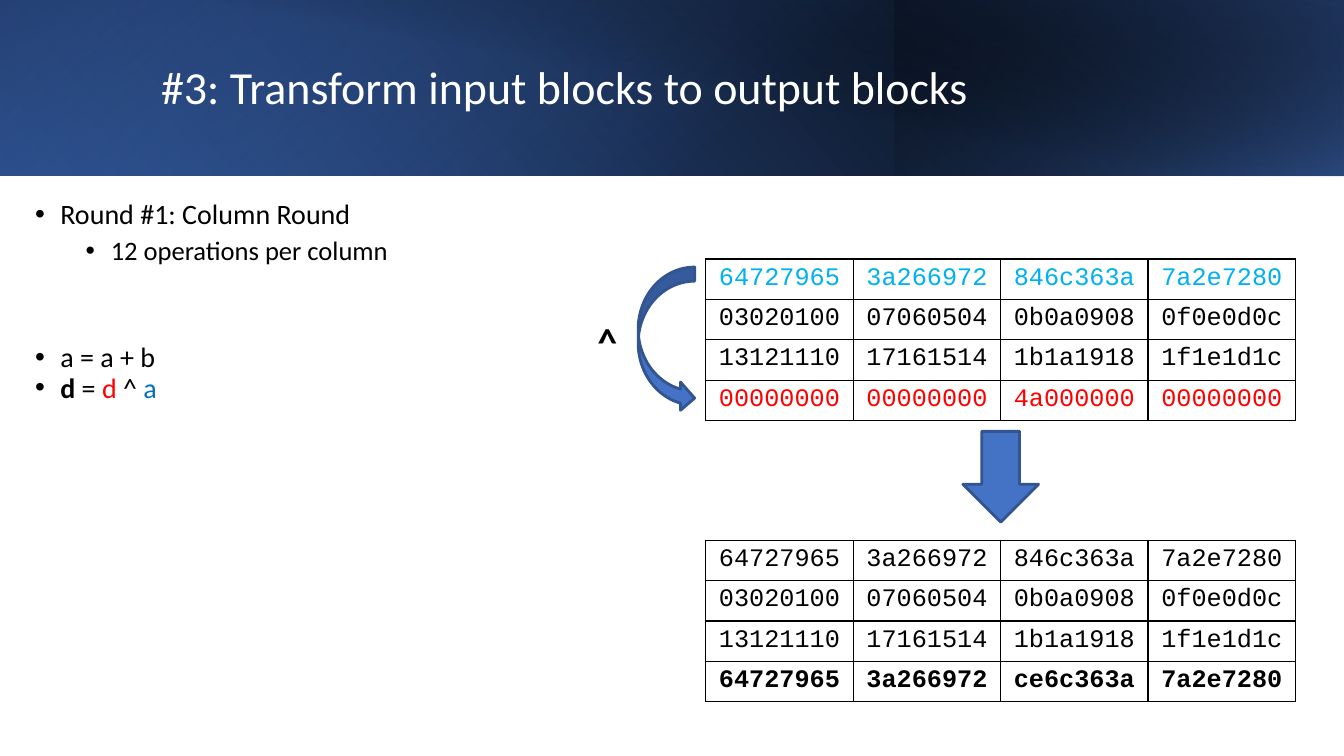
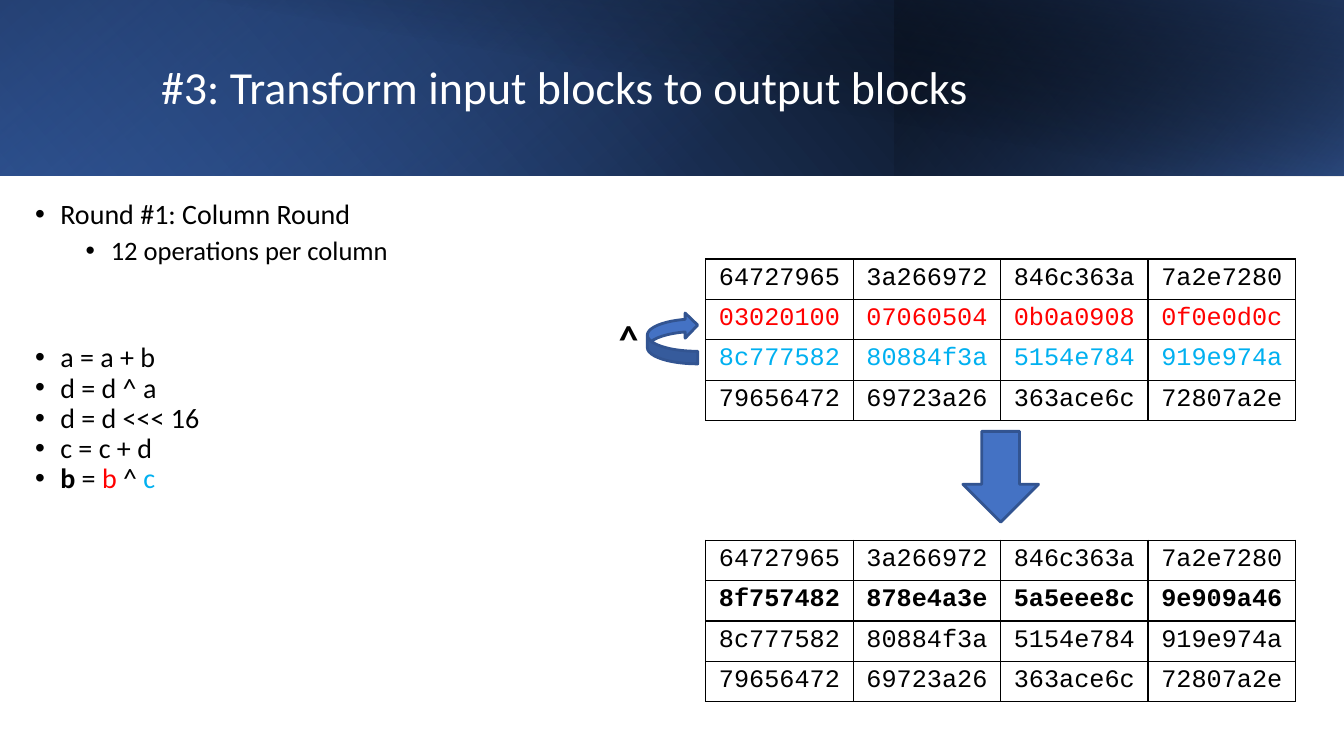
from lxml import etree
from pptx import Presentation
from pptx.dml.color import RGBColor
from pptx.enum.shapes import MSO_SHAPE
from pptx.enum.text import MSO_ANCHOR, MSO_AUTO_SIZE, PP_ALIGN
from pptx.oxml.ns import qn
from pptx.util import Pt

EMU_PER_PX = 9144
SLIDE_W, SLIDE_H = 1333, 750

BLACK = RGBColor(0x00, 0x00, 0x00)
WHITE = RGBColor(0xFF, 0xFF, 0xFF)
RED = RGBColor(0xFF, 0x00, 0x00)
CYAN = RGBColor(0x00, 0xB0, 0xF0)
BLUE = RGBColor(0x00, 0x70, 0xC0)
ACCENT = RGBColor(0x44, 0x72, 0xC4)
OUTLINE = RGBColor(0x32, 0x54, 0x91)
DEEP_BLUE = RGBColor(0x2F, 0x55, 0x97)
NAVY = RGBColor(0x20, 0x38, 0x64)

BODY_FONT = "Calibri"
CODE_FONT = "Courier New"

RECT = MSO_SHAPE.RECTANGLE
DOWN_ARROW = MSO_SHAPE.DOWN_ARROW
CURVED_RIGHT = MSO_SHAPE.CURVED_RIGHT_ARROW
CURVED_LEFT = MSO_SHAPE.CURVED_LEFT_ARROW
MIDDLE = MSO_ANCHOR.MIDDLE
FIT_SHAPE = MSO_AUTO_SIZE.SHAPE_TO_FIT_TEXT
CENTER = PP_ALIGN.CENTER

TITLE = "#3: Transform input blocks to output blocks"

BANDS = [
    ((0, 0, 1333, 174), 0, True, 40, [(0, BLACK, 100), (100, DEEP_BLUE, 100)]),
    ((0, 0, 887, 174), 180, True, 130, [(20, ACCENT, 0), (100, NAVY, 55)]),
    ((887, 0, 446, 174), 0, True, 320, [(0, ACCENT, 66), (100, BLACK, 30)]),
    ((50, 0, 1283, 175), 0, False, 280, [(50, BLACK, 0), (100, NAVY, 52)]),
]

KEY_ROW = "64727965 3a266972 846c363a 7a2e7280"
COUNTER_ROW = "03020100 07060504 0b0a0908 0f0e0d0c"
INPUT_ROW = "13121110 17161514 1b1a1918 1f1e1d1c"
SUM_ROW = "8c777582 80884f3a 5154e784 919e974a"
ROTATED_ROW = "79656472 69723a26 363ace6c 72807a2e"


def px(n):
    return n * EMU_PER_PX


def box(at):
    return [px(n) for n in at]


def add_element(parent, tag, **attrs):
    return etree.SubElement(parent, qn(tag), attrs)


def set_font(font, size, color=BLACK, name=BODY_FONT, bold=False):
    font.size = Pt(size)
    font.name = name
    font.bold = bold
    font.color.rgb = color


def add_shape(slide, kind, at, rotation=0):
    sp = slide.shapes.add_shape(kind, *box(at))
    sp.shadow.inherit = False
    sp.rotation = rotation
    return sp


def add_band(slide, at, rotation, flipped, angle, stops):
    sp = add_shape(slide, RECT, at, rotation)
    sp.line.fill.background()
    if flipped:
        sp.element.spPr.find(qn("a:xfrm")).set("flipH", "1")
    sp.fill.gradient()
    grad = sp.element.spPr.find(qn("a:gradFill"))
    for child in list(grad):
        grad.remove(child)
    stop_list = add_element(grad, "a:gsLst")
    for position, color, opacity in stops:
        stop = add_element(stop_list, "a:gs", pos=str(position * 1000))
        clr = add_element(stop, "a:srgbClr", val=str(color))
        add_element(clr, "a:alpha", val=str(opacity * 1000))
    add_element(grad, "a:lin", ang=str(angle * 60000), scaled="0")


def add_arrow(slide, kind, at, rotation=0):
    sp = add_shape(slide, kind, at, rotation)
    sp.fill.solid()
    sp.fill.fore_color.rgb = ACCENT
    sp.line.color.rgb = OUTLINE
    sp.line.width = Pt(2)


def add_text_frame(slide, at):
    tf = slide.shapes.add_textbox(*box(at)).text_frame
    tf.word_wrap = True
    return tf


def add_title(slide):
    tf = add_text_frame(slide, (150, 32, 1082, 113))
    tf.vertical_anchor = MIDDLE
    p = tf.paragraphs[0]
    p.text = TITLE
    p.line_spacing = 0.9
    set_font(p.font, 32.8, WHITE)


def format_bullet(p, size, level=0, space_before=0):
    pPr = p._p.get_or_add_pPr()
    pPr.set("marL", str(px(25 + 50 * level)))
    pPr.set("indent", str(px(-25)))
    add_element(add_element(pPr, "a:buClr"), "a:srgbClr", val=str(BLACK))
    add_element(pPr, "a:buFont", typeface="Arial")
    add_element(pPr, "a:buChar", char="•")
    p.level = level
    p.line_spacing = 0.9
    p.space_before = Pt(space_before)
    set_font(p.font, size)


def add_heading(slide):
    tf = add_text_frame(slide, (25, 194, 541, 126))
    p = tf.paragraphs[0]
    p.text = "Round #1: Column Round"
    format_bullet(p, 20, space_before=10)
    p = tf.add_paragraph()
    p.text = "12 operations per column"
    format_bullet(p, 19, level=1, space_before=5)


def add_operations(slide, finished, target, source, source_color):
    tf = add_text_frame(slide, (25, 336, 541, 400))
    p = tf.paragraphs[0]
    for operation in finished:
        p.text = operation
        format_bullet(p, 20)
        p = tf.add_paragraph()
    format_bullet(p, 20)
    for text, color in [(target, BLACK), (" = ", BLACK), (target, RED),
                        (" ^ ", BLACK), (source, source_color)]:
        r = p.add_run()
        r.text = text
        r.font.color.rgb = color
    p.runs[0].font.bold = True


def format_cell(cell, text, color, bold):
    p = cell.text_frame.paragraphs[0]
    p.text = text
    p.alignment = CENTER
    set_font(p.font, 18, color, CODE_FONT, bold)
    tcPr = cell._tc.get_or_add_tcPr()
    for side in "LRTB":
        ln = add_element(tcPr, f"a:ln{side}", w=str(Pt(0.96)))
        fill = add_element(ln, "a:solidFill")
        add_element(fill, "a:srgbClr", val=str(BLACK))
    cell.fill.background()


def add_block(slide, top, rows, row_colors=None, bold_row=None):
    row_colors = row_colors or {}
    grid = [row.split() for row in rows]
    table = slide.shapes.add_table(
        len(grid), len(grid[0]), *box((700, top, 585, 40 * len(grid)))).table
    table.first_row = False
    table.horz_banding = False
    for i, words in enumerate(grid):
        for j, word in enumerate(words):
            format_cell(table.cell(i, j), word,
                        row_colors.get(i, BLACK), i == bold_row)


def add_xor_sign(slide, left, top):
    tf = add_text_frame(slide, (left, top, 48, 57))
    tf.auto_size = FIT_SHAPE
    p = tf.paragraphs[0]
    p.text = "^"
    set_font(p.font, 28, bold=True)


def add_round_slide(prs, before, after, row_colors, bold_row):
    slide = prs.slides.add_slide(prs.slide_layouts[6])
    for band in BANDS:
        add_band(slide, *band)
    add_title(slide)
    add_heading(slide)
    add_block(slide, 257, before, row_colors)
    add_arrow(slide, DOWN_ARROW, (955, 428, 75, 90))
    add_block(slide, 536, after, bold_row=bold_row)
    return slide


def main():
    prs = Presentation()
    prs.slide_width, prs.slide_height = px(SLIDE_W), px(SLIDE_H)

    slide = add_round_slide(
        prs,
        [KEY_ROW, COUNTER_ROW, INPUT_ROW,
         "00000000 00000000 4a000000 00000000"],
        [KEY_ROW, COUNTER_ROW, INPUT_ROW,
         "64727965 3a266972 ce6c363a 7a2e7280"],
        {0: CYAN, 3: RED}, 3)
    add_operations(slide, ["a = a + b"], "d", "a", BLUE)
    add_arrow(slide, CURVED_RIGHT, (633, 265, 56, 144))
    add_xor_sign(slide, 583, 310)

    slide = add_round_slide(
        prs,
        [KEY_ROW, COUNTER_ROW, SUM_ROW, ROTATED_ROW],
        [KEY_ROW, "8f757482 878e4a3e 5a5eee8c 9e909a46",
         SUM_ROW, ROTATED_ROW],
        {1: RED, 2: CYAN}, 1)
    add_operations(
        slide, ["a = a + b", "d = d ^ a", "d = d <<< 16", "c = c + d"],
        "b", "c", CYAN)
    add_arrow(slide, CURVED_LEFT, (642, 310, 50, 51), 180)
    add_xor_sign(slide, 604, 307)

    prs.save("out.pptx")


if __name__ == "__main__":
    main()
